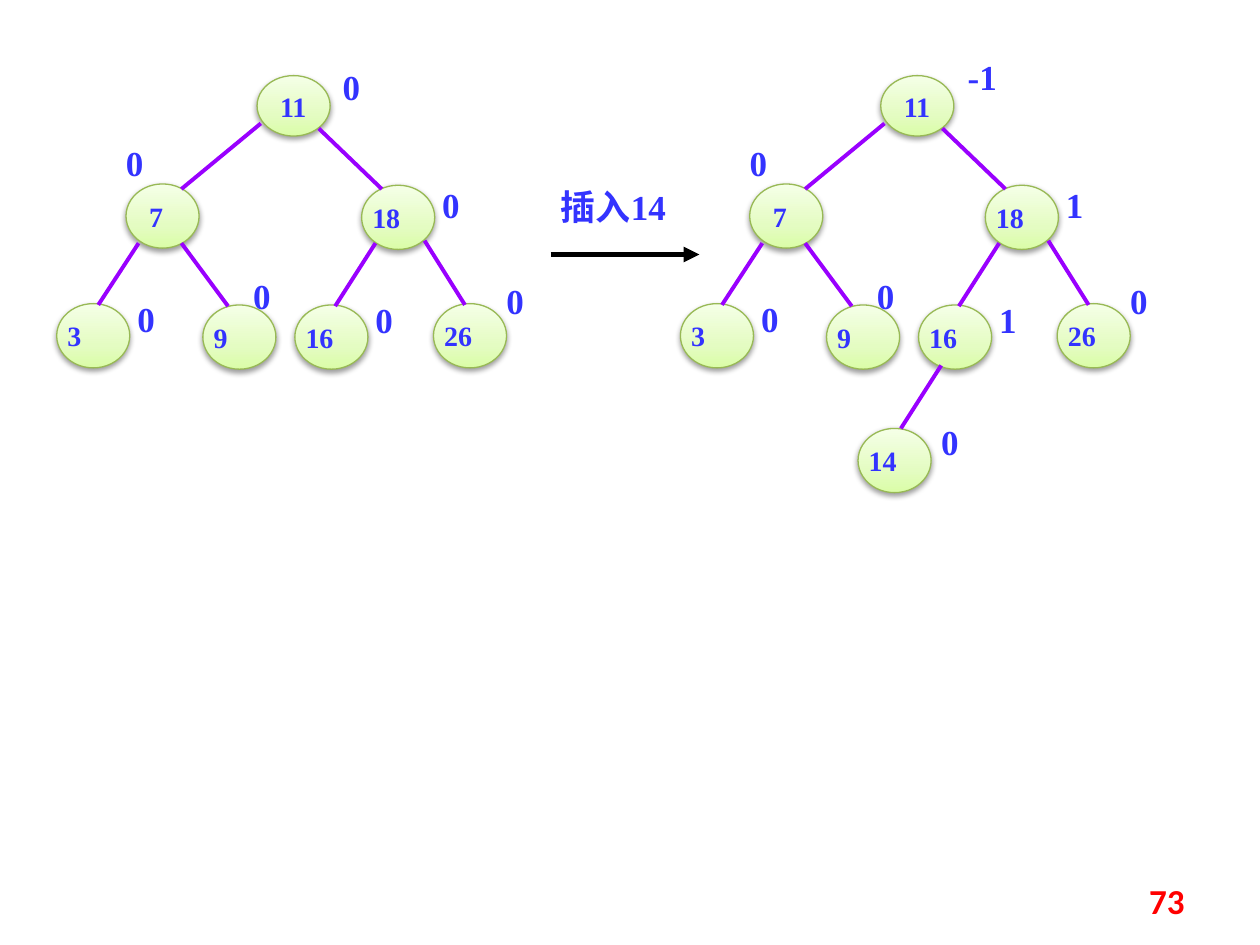
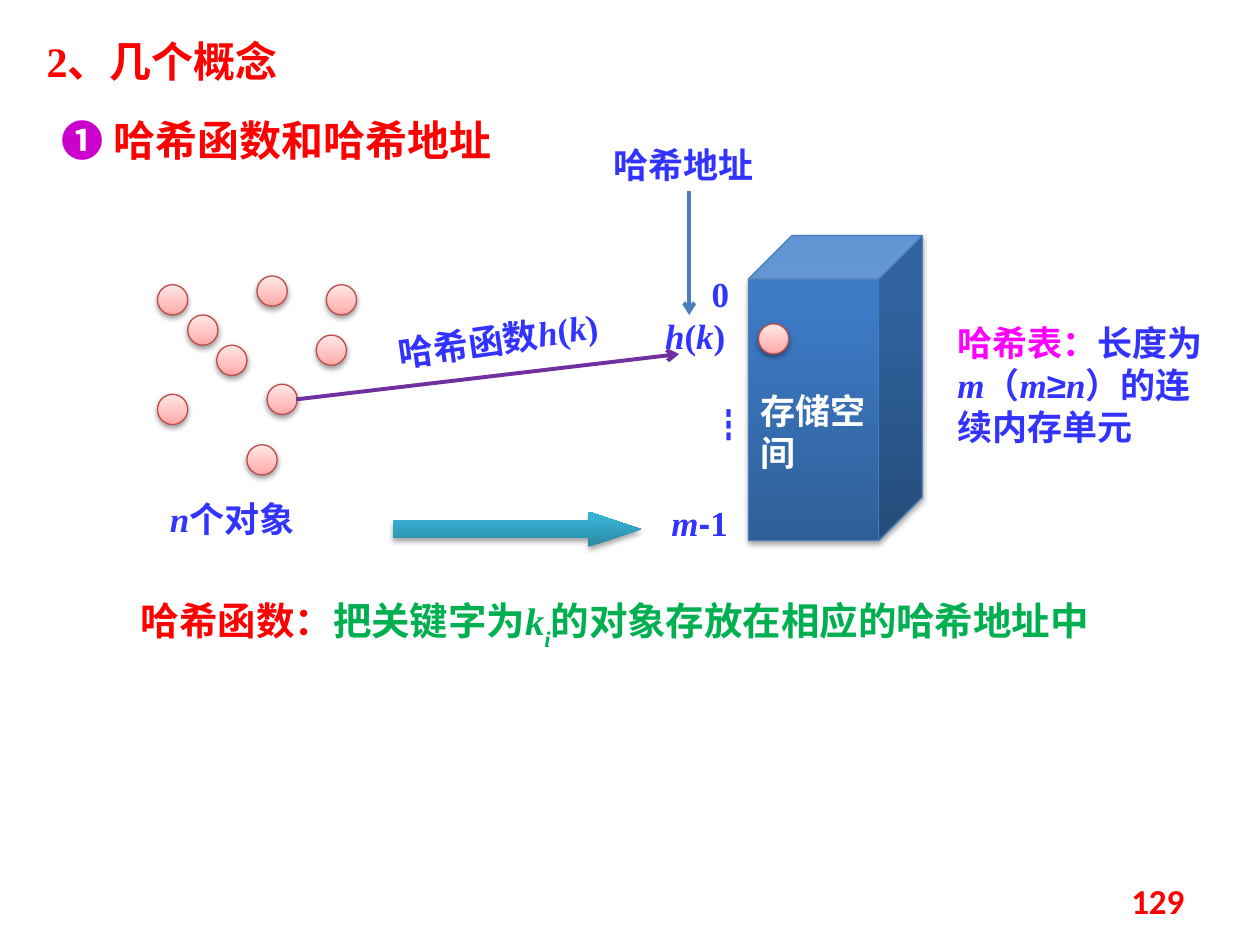
from lxml.etree import SubElement
from pptx import Presentation
from pptx.dml.color import RGBColor
from pptx.enum.shapes import MSO_CONNECTOR as Connector, MSO_SHAPE as Shape
from pptx.enum.text import MSO_ANCHOR as Anchor, PP_ALIGN as Align
from pptx.oxml.ns import qn
from pptx.util import Pt

PX = 9144

BLUE = RGBColor(0x33, 0x33, 0xFF)
RED = RGBColor(0xFF, 0x00, 0x00)
GREEN = RGBColor(0x00, 0xB0, 0x50)
MAGENTA = RGBColor(0xFF, 0x00, 0xFF)
PURPLE = RGBColor(0xCC, 0x00, 0xCC)
WHITE = RGBColor(0xFF, 0xFF, 0xFF)
BLACK = RGBColor(0x00, 0x00, 0x00)
EDGE_VIOLET = RGBColor(0x99, 0x00, 0xFF)
ARROW_VIOLET = RGBColor(0x70, 0x30, 0xA0)
STEEL = RGBColor(0x4B, 0x7E, 0xBC)
LEAF = RGBColor(0x98, 0xB9, 0x55)
BRICK = RGBColor(0xBF, 0x4C, 0x48)

LIME_GRADIENT = ((0, "DAFDA7"), (35, "E4FCC2"), (100, "F5FFE7"))
PINK_GRADIENT = ((0, "FFA6A5"), (35, "FFC0BF"), (100, "FFE7E7"))
BLUE_GRADIENT = ((0, "2F5F99"), (80, "3D7CC7"), (100, "3A7CCB"))
TEAL_GRADIENT = ((0, "2A88A2"), (80, "37B1D2"), (100, "34B4D6"))

SERIF = "Times New Roman"
CJK = "Noto Sans CJK SC"
PLAIN = (SERIF, False, 0)
ITALIC = (SERIF, True, 0)
SUBSCRIPT = (SERIF, True, -30000)
SYMBOL = (CJK, False, 0)
SANS = ("Arial", False, 0)
NUMBER = ("Calibri", False, 0)


def add_solid(slide, kind, box, gradient, line_color=None, alpha=38, distance=20000):
    shape = slide.shapes.add_shape(kind, *[value * PX for value in box])
    shape.fill.gradient()
    shape.fill.gradient_angle = 90
    stops = shape.element.spPr.find(qn("a:gradFill")).find(qn("a:gsLst"))
    for stop in list(stops):
        stops.remove(stop)
    for position, color in gradient:
        stop = SubElement(stops, qn("a:gs"), pos=str(position * 1000))
        SubElement(stop, qn("a:srgbClr"), val=color)
    if line_color is None:
        shape.line.fill.background()
    else:
        shape.line.color.rgb = line_color
        shape.line.width = Pt(0.75)
    shape.shadow.inherit = False
    effects = shape.element.spPr.find(qn("a:effectLst"))
    shadow = SubElement(effects, qn("a:outerShdw"), blurRad="40000",
                        dist=str(distance), dir="5400000", rotWithShape="0")
    shadow_color = SubElement(shadow, qn("a:srgbClr"), val="000000")
    SubElement(shadow_color, qn("a:alpha"), val=str(alpha * 1000))
    return shape


def write_runs(shape, runs, size, flush=False, anchor=Anchor.TOP, align=Align.LEFT):
    frame = shape.text_frame
    frame.word_wrap = True
    frame.vertical_anchor = anchor
    if flush:
        frame.margin_left = frame.margin_top = 0
        frame.margin_right = frame.margin_bottom = 0
    paragraph = frame.paragraphs[0]
    paragraph.alignment = align
    for text, color, (font_name, italic, baseline) in runs:
        run = paragraph.add_run()
        run.text = text
        run.font.size = Pt(size)
        run.font.bold = True
        run.font.italic = italic
        run.font.color.rgb = color
        run.font.name = font_name
        properties = run._r.get_or_add_rPr()
        SubElement(properties, qn("a:ea"), typeface=CJK)
        if baseline:
            properties.set("baseline", str(baseline))


presentation = Presentation()
presentation.slide_width = 1000 * PX
presentation.slide_height = 750 * PX
tree_slide = presentation.slides.add_slide(presentation.slide_layouts[6])
hash_slide = presentation.slides.add_slide(presentation.slide_layouts[5])
lines = []

NODE_WIDTH, NODE_HEIGHT = 58, 51
TREE_SHIFT = 495
nodes = [
    ("11", 204, 60), ("7", 100, 146), ("18", 287, 147), ("3", 45, 241),
    ("9", 161, 242), ("16", 234, 242), ("26", 344, 241),
]
edges = [
    (207, 98, 144, 150), (253, 102, 303, 150), (110, 193, 78, 242),
    (144, 193, 181, 243), (298, 193, 266, 243), (337, 191, 369, 242),
]
factor_places = [(272, 52), (100, 112), (351, 146), (109, 236), (201, 218), (298, 237), (402, 222)]
inserted_node = ("14", 186, 340)
inserted_edge = (252, 290, 220, 340)
inserted_factor_place = (252, 334)

trees = [
    (0, nodes, edges, factor_places, ["0"] * 7),
    (TREE_SHIFT, nodes + [inserted_node], edges + [inserted_edge],
     [(273, 44)] + factor_places[1:] + [inserted_factor_place],
     ["-1", "0", "1", "0", "0", "1", "0", "0"]),
]
labels = [("插入14", 445, 147, 102)]
for shift, tree_nodes, tree_edges, places, factors in trees:
    for key, left, top in tree_nodes:
        height = 48 if key == "11" else NODE_HEIGHT
        node = add_solid(tree_slide, Shape.OVAL, (left + shift, top, NODE_WIDTH, height),
                         LIME_GRADIENT, LEAF)
        write_runs(node, [(key, BLUE, PLAIN)], 16, key not in ("11", "7"), Anchor.MIDDLE)
        if key == "11":
            node.text_frame.word_wrap = False
    for x1, y1, x2, y2 in tree_edges:
        lines.append((tree_slide, (x1 + shift, y1, x2 + shift, y2), EDGE_VIOLET, 2.25, None))
    for factor, (left, top) in zip(factors, places):
        labels.append((factor, left + shift, top, 36))

for text, left, top, width in labels:
    label = tree_slide.shapes.add_textbox(left * PX, top * PX, width * PX, 33 * PX)
    write_runs(label, [(text, BLUE, PLAIN)], 20, flush=True)
lines.append((tree_slide, (437, 202, 555, 202), BLACK, 3, "triangle"))

title = hash_slide.shapes.title
title.left, title.top, title.width, title.height = 27 * PX, 23 * PX, 250 * PX, 50 * PX
write_runs(title, [("2、几个概念", RED, PLAIN)], 24)

add_solid(hash_slide, Shape.RIGHT_ARROW, (312, 406, 197, 28), TEAL_GRADIENT,
          alpha=35, distance=23000).adjustments[1] = 1.499

storage = add_solid(hash_slide, Shape.CUBE, (594, 187, 138, 242), BLUE_GRADIENT, STEEL,
                    alpha=35, distance=23000)
write_runs(storage, [("存储空间", WHITE, PLAIN)], 20, anchor=Anchor.MIDDLE)
storage.text_frame.margin_top = 39 * PX

BALL = 24
ball_places = [
    (125, 226), (149, 250), (172, 274), (204, 219), (125, 313),
    (212, 305), (251, 266), (196, 353), (259, 226), (602, 257),
]
for left, top in ball_places:
    add_solid(hash_slide, Shape.OVAL, (left, top, BALL, BALL), PINK_GRADIENT, BRICK)

h_of_k = [("h", BLUE, ITALIC), ("(", BLUE, PLAIN), ("k", BLUE, ITALIC), (")", BLUE, PLAIN)]
hash_texts = [
    ((39, 86, 391, 50), 24, 0,
     [("❶ ", PURPLE, SYMBOL), ("哈希函数和哈希地址", RED, PLAIN)]),
    ((102, 469, 820, 47), 22, 0,
     [("哈希函数：", RED, PLAIN), ("把关键字为", GREEN, PLAIN), ("k", GREEN, ITALIC),
      ("i", GREEN, SUBSCRIPT), ("的对象存放在相应的哈希地址中", GREEN, PLAIN)]),
    ((306, 247, 186, 44), 20, 351.9, [("哈希函数", BLUE, PLAIN)] + h_of_k),
    ((125, 390, 133, 44), 20, 0, [("n", BLUE, ITALIC), ("个对象", BLUE, PLAIN)]),
    ((750, 250, 227, 111), 20, 0,
     [("哈希表：", MAGENTA, PLAIN), ("长度为", BLUE, PLAIN), ("m", BLUE, ITALIC),
      ("（", BLUE, PLAIN), ("m", BLUE, ITALIC), ("≥", BLUE, SANS), ("n", BLUE, ITALIC),
      ("）的连续内存单元", BLUE, PLAIN)]),
    ((555, 211, 39, 44), 20, 0, [("0", BLUE, PLAIN)]),
    ((523, 393, 70, 44), 20, 0, [("m", BLUE, ITALIC), ("-", BLUE, SANS), ("1", BLUE, PLAIN)]),
    ((555, 315, 39, 44), 20, 0, [("┇", BLUE, SYMBOL)]),
    ((477, 109, 148, 44), 20, 0, [("哈希地址", BLUE, PLAIN)]),
    ((518, 245, 86, 44), 20, 0, h_of_k),
]
for box, size, rotation, runs in hash_texts:
    text_box = hash_slide.shapes.add_textbox(*[value * PX for value in box])
    text_box.rotation = rotation
    write_runs(text_box, runs, size)
lines.append((hash_slide, (547, 152, 547, 250), STEEL, 2.25, "arrow"))
lines.append((hash_slide, (235, 317, 539, 281), ARROW_VIOLET, 2.25, "arrow"))

for slide, ends, color, width, head in lines:
    connector = slide.shapes.add_connector(Connector.STRAIGHT, *[value * PX for value in ends])
    connector.line.color.rgb = color
    connector.line.width = Pt(width)
    if head:
        SubElement(connector.line._get_or_add_ln(), qn("a:tailEnd"), type=head)
    SubElement(connector.element.spPr, qn("a:effectLst"))

for slide, page_number in ((tree_slide, "73"), (hash_slide, "129")):
    footer = slide.shapes.add_textbox(717 * PX, 695 * PX, 233 * PX, 40 * PX)
    write_runs(footer, [(page_number, RED, NUMBER)], 20, anchor=Anchor.MIDDLE, align=Align.RIGHT)

presentation.save("out.pptx")
